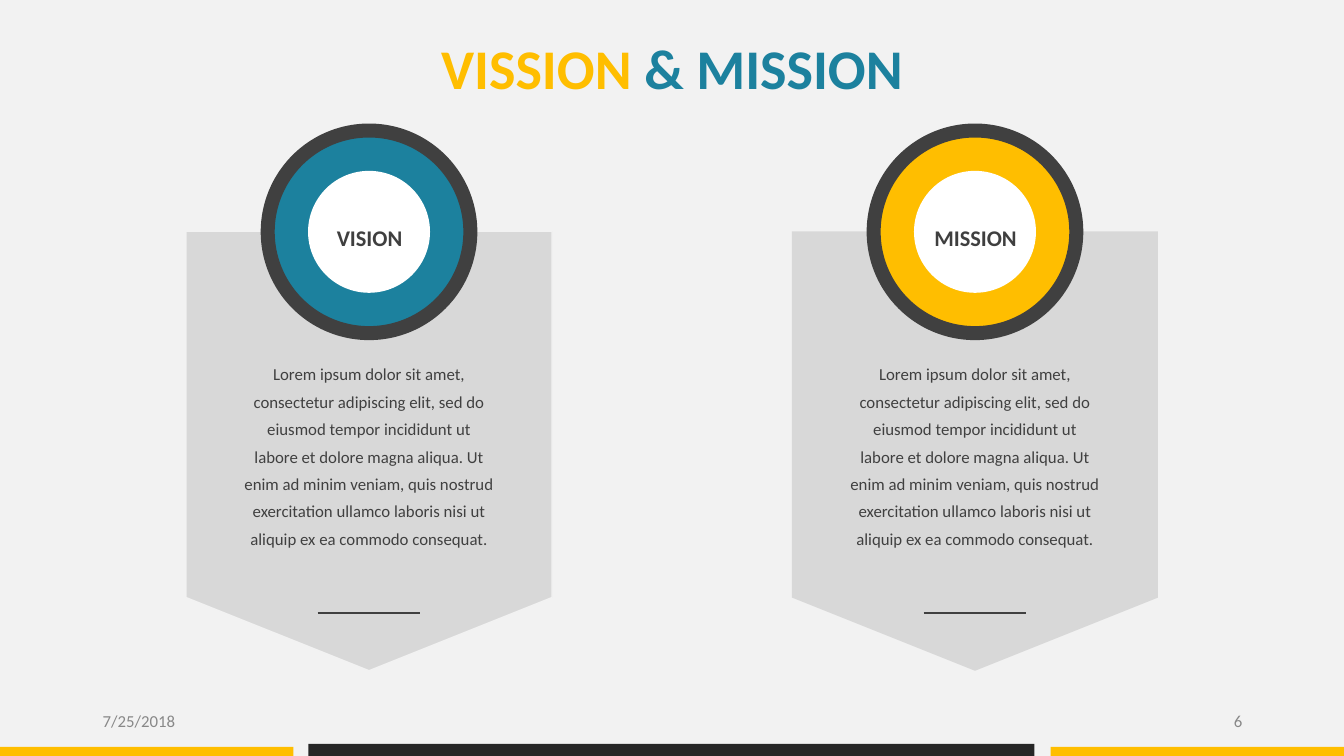
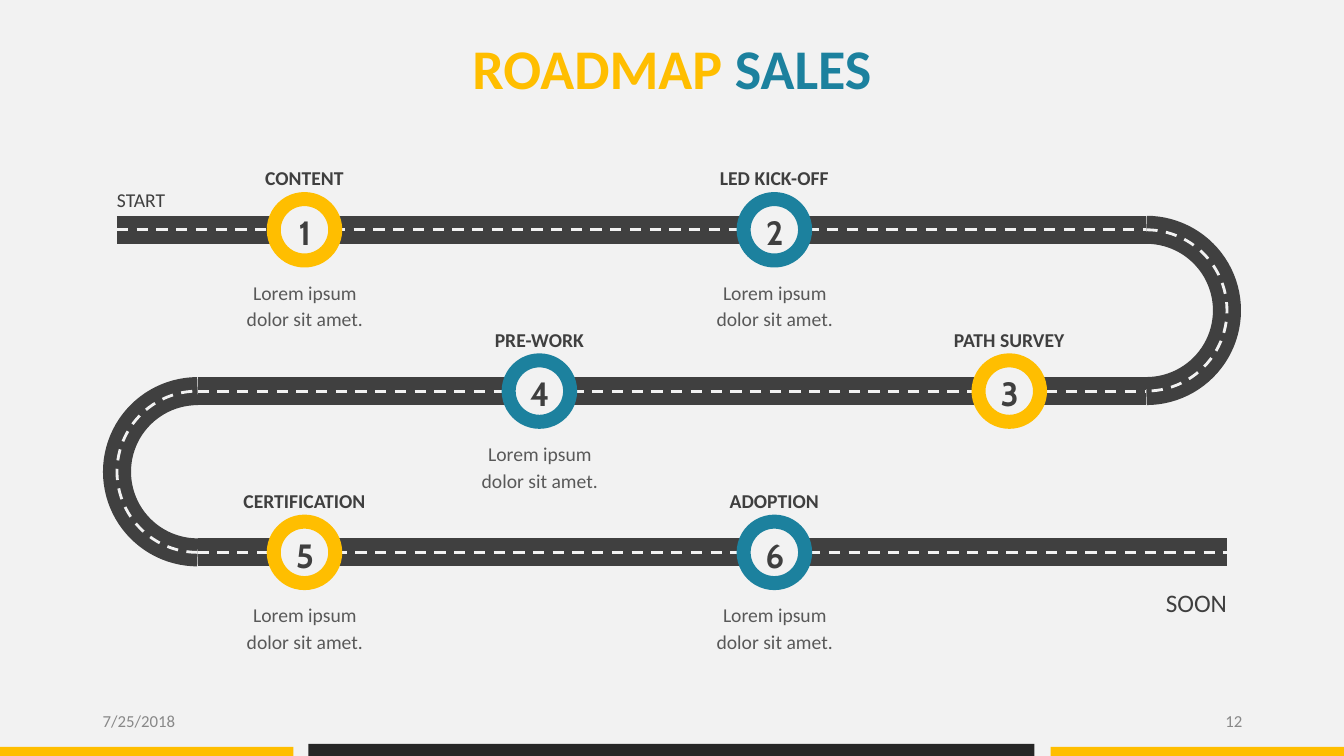
import pptx
import pptx.util
import pptx.dml.color
import pptx.enum.dml
import pptx.enum.shapes
import pptx.enum.text
import pptx.oxml

Inches, Pt = pptx.util.Inches, pptx.util.Pt
SHAPE = pptx.enum.shapes.MSO_SHAPE
ALIGN = pptx.enum.text.PP_ALIGN
ANCHOR = pptx.enum.text.MSO_ANCHOR

COLORS = {
    "bg": "F2F2F2", "yellow": "FFBE00", "teal": "1C819E", "band": "262626",
    "plate": "D8D8D8", "dark": "404040", "label": "3F3F3F", "body": "595959",
    "footer": "888888", "white": "FFFFFF",
}
LOREM = ("Lorem ipsum dolor sit amet, consectetur adipiscing elit, sed do "
         "eiusmod tempor incididunt ut labore et dolore magna aliqua. Ut enim "
         "ad minim veniam, quis nostrud exercitation ullamco laboris nisi ut "
         "aliquip ex ea commodo consequat.")
CAPTION = "Lorem ipsum dolor sit amet."


def rgb(name):
    return pptx.dml.color.RGBColor.from_string(COLORS[name])


# Basic elements
def set_line(line, color, width, dashed=False):
    line.color.rgb = rgb(color)
    line.width = Pt(width)
    if dashed:
        line.dash_style = pptx.enum.dml.MSO_LINE.DASH


def add_shape(s, kind, x, y, w, h, fill=None, line=None, width=1):
    sp = s.shapes.add_shape(kind, Inches(x), Inches(y), Inches(w), Inches(h))
    sp.shadow.inherit = False
    if fill:
        sp.fill.solid()
        sp.fill.fore_color.rgb = rgb(fill)
    else:
        sp.fill.background()
    if line:
        set_line(sp.line, line, width)
    else:
        sp.line.fill.background()
    return sp


def add_circle(s, cx, cy, d, fill, line=None, width=1):
    return add_shape(s, SHAPE.OVAL, cx - d / 2, cy - d / 2, d, d, fill, line, width)


def add_line(s, x1, x2, y, color, width, dashed=False):
    c = s.shapes.add_connector(pptx.enum.shapes.MSO_CONNECTOR.STRAIGHT,
                               Inches(x1), Inches(y), Inches(x2), Inches(y))
    set_line(c.line, color, width, dashed)
    c._element.spPr.append(pptx.oxml.parse_xml(
        '<a:effectLst xmlns:a="http://schemas.openxmlformats.org/drawingml/2006/main"/>'))


def add_text(s, x, y, w, h, runs, size, align=ALIGN.CENTER, bold=False,
             spacing=None, font="Calibri", anchor=ANCHOR.TOP, insets=(0, 0)):
    """Add one paragraph; runs is a list of (text, color) pairs."""
    tf = s.shapes.add_textbox(Inches(x), Inches(y), Inches(w), Inches(h)).text_frame
    tf.word_wrap = True
    tf.vertical_anchor = anchor
    tf.margin_left = tf.margin_right = Inches(insets[0])
    tf.margin_top = tf.margin_bottom = Inches(insets[1])
    p = tf.paragraphs[0]
    p.alignment = align
    if spacing:
        p.line_spacing = spacing
    for text, color in runs:
        r = p.add_run()
        r.text = text
        r.font.name, r.font.size, r.font.bold = font, Pt(size), bold
        r.font.color.rgb = rgb(color)


# Shared frame: background, title, bottom bands and footer
def add_slide(prs, title_start, title_end, number):
    s = prs.slides.add_slide(prs.slide_layouts[6])
    s.background.fill.solid()
    s.background.fill.fore_color.rgb = rgb("bg")
    add_text(s, 0.78, 0.33, 11.77, 0.67,
             [(title_start + " ", "yellow"), (title_end, "teal")], 40, bold=True)
    for x, w, h, color in ((0, 2.91, 0.09, "yellow"), (3.06, 7.2, 0.12, "band"),
                           (10.42, 2.91, 0.09, "yellow")):
        add_shape(s, SHAPE.RECTANGLE, x, 7.5 - h, w, h, color)
    for x, text, align in ((0.92, "7/25/2018", ALIGN.LEFT),
                           (9.42, number, ALIGN.RIGHT)):
        add_text(s, x, 6.95, 3, 0.4, [(text, "footer")], 12, align,
                 anchor=ANCHOR.MIDDLE, insets=(0.1, 0.05))
    return s


# Vision and mission
def add_pennant(s, cx, label, color, outline=None):
    length, breadth = 4.36, 3.63
    plate = add_shape(s, SHAPE.PENTAGON, cx - length / 2, 2.66, length, breadth,
                      "plate", outline)
    plate.adjustments[0] = 0.2
    plate.rotation = 90
    add_circle(s, cx, 2.3, 2.01, color, "dark", 10)
    add_circle(s, cx, 2.3, 1.21, "white")
    add_text(s, cx - 0.52, 2.16, 1.05, 0.28, [(label, "label")], 16,
             bold=True, spacing=1.25)
    add_text(s, cx - 1.24, 3.54, 2.48, 2.11, [(LOREM, "dark")], 12, spacing=1.36)
    add_line(s, cx - 0.51, cx + 0.51, 6.08, "dark", 1.5)


def build_vision(prs):
    s = add_slide(prs, "VISSION", "& MISSION", "6")
    add_pennant(s, 3.66, "VISION", "teal", "bg")
    add_pennant(s, 9.67, "MISSION", "yellow")


# Roadmap
ROW_GAP = 1.6
ROAD_LEFT, ROAD_RIGHT = 1.16, 12.17
BEND_LEFT, BEND_RIGHT = ROAD_LEFT + ROW_GAP / 2, ROAD_RIGHT - ROW_GAP / 2


def row_y(row):
    return 2.28 + ROW_GAP * row


def add_bend(s, x, y, rotation, color, width, dashed):
    arc = add_shape(s, SHAPE.ARC, x, y, ROW_GAP, ROW_GAP)
    arc.adjustments[0], arc.adjustments[1] = 162, 54
    arc.rotation = rotation
    set_line(arc.line, color, width, dashed)


def add_road(s, color, width, dashed=False):
    style = color, width, dashed
    add_line(s, ROAD_LEFT, BEND_RIGHT, row_y(0), *style)
    add_bend(s, ROAD_RIGHT - ROW_GAP, row_y(0), 0, *style)
    add_line(s, BEND_LEFT, BEND_RIGHT, row_y(1), *style)
    add_bend(s, ROAD_LEFT, row_y(1), 180, *style)
    add_line(s, BEND_LEFT, ROAD_RIGHT, row_y(2), *style)


def add_milestone(s, number, col, row, label, color, caption):
    cx, cy = 3.02 + 2.33 * col, row_y(row)
    add_circle(s, cx, cy, 0.61, "bg", color, 10)
    add_text(s, cx - 0.21, cy - 0.09, 0.43, 0.29, [(str(number), "label")], 24,
             bold=True, spacing=0.83, font="Cabin", anchor=ANCHOR.MIDDLE)
    add_text(s, cx - 0.8, cy - 0.73, 1.6, 0.28, [(label, "label")], 14,
             bold=True, spacing=1.43)
    if caption:
        add_text(s, cx - 0.71, cy + 0.47, 1.43, 0.45, [(caption, "body")], 14,
                 spacing=1.14)


def build_roadmap(prs):
    s = add_slide(prs, "ROADMAP", "SALES", "12")
    add_road(s, "dark", 20)
    add_road(s, "bg", 2, dashed=True)
    milestones = (
        (0, 0, "CONTENT", "yellow", CAPTION),
        (2, 0, "LED KICK-OFF", "teal", CAPTION),
        (3, 1, "PATH SURVEY", "yellow", None),
        (1, 1, "PRE-WORK", "teal", CAPTION),
        (0, 2, "CERTIFICATION", "yellow", CAPTION),
        (2, 2, "ADOPTION", "teal", CAPTION),
    )
    for number, milestone in enumerate(milestones, 1):
        add_milestone(s, number, *milestone)
    add_text(s, ROAD_LEFT, 1.76, 0.99, 0.25, [("START", "label")], 14,
             ALIGN.LEFT, spacing=1.43)
    add_text(s, ROAD_RIGHT - 0.99, 5.79, 0.99, 0.28, [("SOON", "label")], 18,
             ALIGN.RIGHT, spacing=1.11)


def main():
    prs = pptx.Presentation()
    prs.slide_width, prs.slide_height = Inches(13.33), Inches(7.5)
    build_vision(prs)
    build_roadmap(prs)
    prs.save("out.pptx")


if __name__ == "__main__":
    main()
